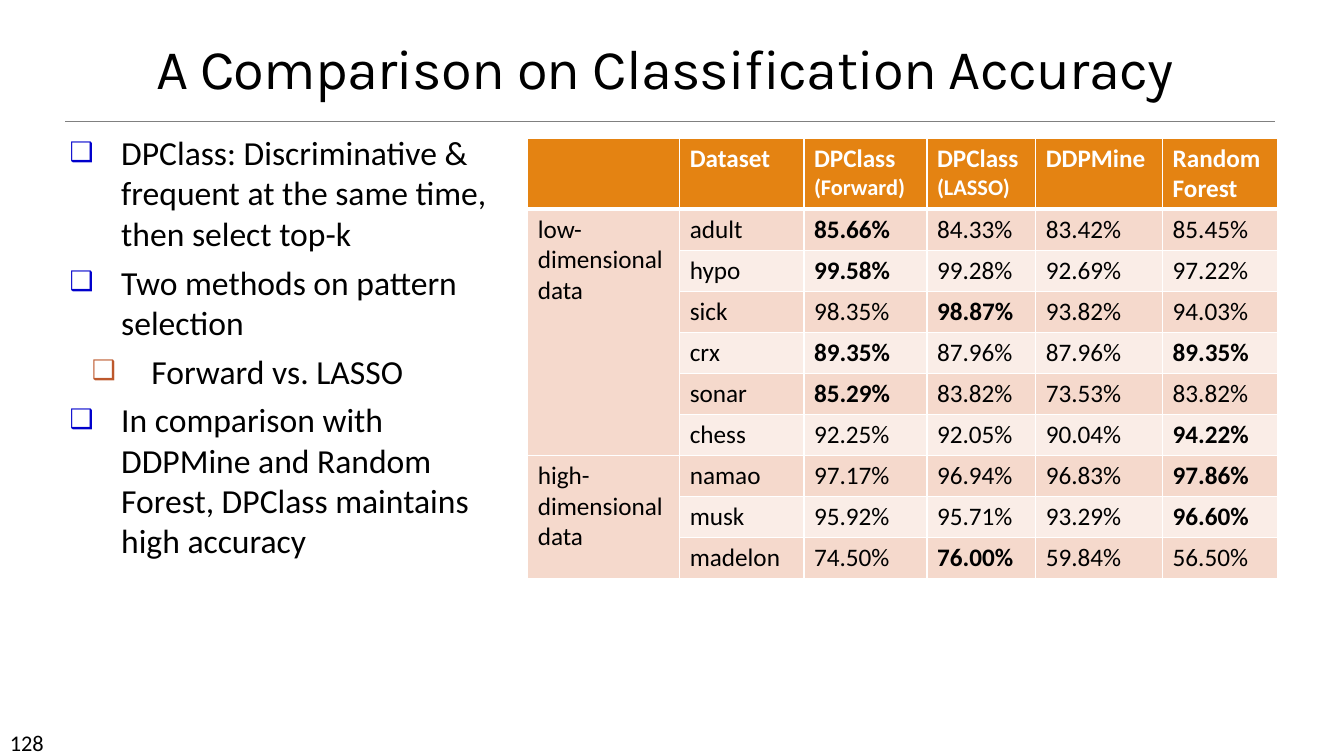
from lxml import etree
from pptx import Presentation
from pptx import util as u
from pptx.dml.color import RGBColor
from pptx.enum import shapes, text
from pptx.oxml import ns

BLACK = RGBColor(0x00, 0x00, 0x00)
WHITE = RGBColor(0xFF, 0xFF, 0xFF)
GREY = RGBColor(0x80, 0x80, 0x80)
BLUE = RGBColor(0x00, 0x00, 0xCC)
RUST = RGBColor(0xBD, 0x58, 0x2C)
ORANGE = RGBColor(0xE4, 0x83, 0x12)
BANDS = RGBColor(0xF5, 0xD9, 0xCC), RGBColor(0xFA, 0xED, 0xE7)

POINTS = [
    ("DPClass: Discriminative & frequent at the same time, then select top-k", 0),
    ("Two methods on pattern selection", 0),
    ("Forward vs. LASSO", 1),
    ("In comparison with DDPMine and Random Forest, DPClass maintains high accuracy", 0),
]
POINT_STYLES = [(BLUE, 1.3, 1.3), (RUST, 2.06, 1.5)]

HEADER = ["", "Dataset", "DPClass\n(Forward)", "DPClass\n(LASSO)", "DDPMine", "Random\nForest"]
GROUPS = [
    ("low-\ndimensional\ndata", [
        ("adult", 85.66, 84.33, 83.42, 85.45),
        ("hypo", 99.58, 99.28, 92.69, 97.22),
        ("sick", 98.35, 98.87, 93.82, 94.03),
        ("crx", 89.35, 87.96, 87.96, 89.35),
        ("sonar", 85.29, 83.82, 73.53, 83.82),
        ("chess", 92.25, 92.05, 90.04, 94.22),
    ]),
    ("high-\ndimensional\ndata", [
        ("namao", 97.17, 96.94, 96.83, 97.86),
        ("musk", 95.92, 95.71, 93.29, 96.60),
        ("madelon", 74.50, 76.00, 59.84, 56.50),
    ]),
]
COLUMN_WIDTHS = [3.83, 3.13, 3.1, 2.74, 3.2, 2.9]
HEADER_HEIGHT = 1.79


def add_element(parent, tag, **attributes):
    return etree.SubElement(parent, ns.qn(tag), attributes)


def style_font(font, size, color=BLACK, name="Calibri", bold=False):
    font.size = u.Pt(size)
    font.name = name
    font.bold = bold
    font.color.rgb = color


def place(shape, box):
    shape.left, shape.top, shape.width, shape.height = map(u.Cm, box)


def add_title(slide, box):
    title = slide.shapes.title
    place(title, box)
    frame = title.text_frame
    frame.text = "A Comparison on Classification Accuracy"
    frame.auto_size = text.MSO_AUTO_SIZE.NONE
    frame.vertical_anchor = text.MSO_ANCHOR.BOTTOM
    paragraph = frame.paragraphs[0]
    paragraph.alignment = text.PP_ALIGN.CENTER
    paragraph.line_spacing = 0.85
    run = paragraph.runs[0]
    style_font(run.font, 40, name="Karla")
    run.font._element.set("spc", "-50")


def add_rule(slide, box):
    left, top, width, height = box
    rule = slide.shapes.add_connector(
        shapes.MSO_CONNECTOR.STRAIGHT,
        u.Cm(left), u.Cm(top), u.Cm(left + width), u.Cm(top + height))
    rule.line.color.rgb = GREY
    rule.line.width = u.Pt(0.5)
    add_element(rule._element.spPr, "a:effectLst")


def add_bullet(paragraph, color, margin, hanging):
    properties = paragraph._p.get_or_add_pPr()
    properties.set("marL", str(u.Cm(margin)))
    properties.set("indent", str(-u.Cm(hanging)))
    add_element(add_element(properties, "a:buClr"), "a:srgbClr", val=str(color))
    add_element(properties, "a:buSzPct", val="80000")
    add_element(properties, "a:buFont", typeface="Calibri")
    add_element(properties, "a:buChar", char="❑")


def add_points(slide, box):
    body = slide.placeholders[1]
    place(body, box)
    frame = body.text_frame
    frame.text = "\n".join(point for point, level in POINTS)
    frame.auto_size = text.MSO_AUTO_SIZE.NONE
    for index, (paragraph, (point, level)) in enumerate(zip(frame.paragraphs, POINTS)):
        paragraph.level = level
        add_bullet(paragraph, *POINT_STYLES[level])
        paragraph.space_before = u.Pt(6 if index else 0)
        style_font(paragraph.runs[0].font, 24)


def add_borders(cell, bottom_width):
    properties = cell._tc.get_or_add_tcPr()
    for index, side in enumerate("LRTB"):
        width = bottom_width if side == "B" else 1
        border = add_element(properties, f"a:ln{side}", w=str(u.Pt(width)))
        add_element(add_element(border, "a:solidFill"), "a:srgbClr", val=str(WHITE))
        properties.insert(index, border)


def fill_cell(cell, words, fill, color=BLACK, bold=False, bottom_width=1):
    cell.fill.solid()
    cell.fill.fore_color.rgb = fill
    add_borders(cell, bottom_width)
    cell.text_frame.text = words
    for paragraph in cell.text_frame.paragraphs:
        size = 16 if paragraph.text.startswith("(") else 18
        for run in paragraph.runs:
            style_font(run.font, size, color, bold=bold)


def add_accuracy_table(slide, box):
    row_count = 1 + sum(len(rows) for group, rows in GROUPS)
    table = slide.shapes.add_table(row_count, len(HEADER), *map(u.Cm, box)).table
    for column, width in zip(table.columns, COLUMN_WIDTHS):
        column.width = u.Cm(width)
    for row in table.rows:
        row.height = u.Cm((box[3] - HEADER_HEIGHT) / (row_count - 1))
    table.rows[0].height = u.Cm(HEADER_HEIGHT)
    for column, heading in enumerate(HEADER):
        fill_cell(table.cell(0, column), heading, ORANGE, WHITE, True, 3)

    first = 1
    for group, rows in GROUPS:
        for row, (dataset, *scores) in enumerate(rows, first):
            band = BANDS[(row - 1) % 2]
            fill_cell(table.cell(row, 0), group if row == first else "", BANDS[0])
            fill_cell(table.cell(row, 1), dataset, band)
            for column, score in enumerate(scores, 2):
                fill_cell(table.cell(row, column), f"{score:.2f}%", band,
                          bold=score == max(scores))
        last = first + len(rows) - 1
        table.cell(first, 0).merge(table.cell(last, 0))
        first = last + 1


def add_page_number(slide, box):
    number = slide.shapes.add_textbox(*map(u.Cm, box))
    number.text_frame.word_wrap = True
    number.text_frame.text = "128"
    style_font(number.text_frame.paragraphs[0].runs[0].font, 16)


def main():
    presentation = Presentation()
    presentation.slide_width = u.Cm(33.87)
    presentation.slide_height = u.Cm(19.05)
    slide = presentation.slides.add_slide(presentation.slide_layouts[1])
    add_rule(slide, (1.65, 3.06, 30.48, 0))
    add_page_number(slide, (0, 18.24, 2.97, 0.76))
    add_title(slide, (0.97, 0.61, 31.57, 2.06))
    add_points(slide, (1.5, 3.2, 11.68, 13.31))
    add_accuracy_table(slide, (13.3, 3.48, sum(COLUMN_WIDTHS), 11.1))
    presentation.save("out.pptx")


if __name__ == "__main__":
    main()
